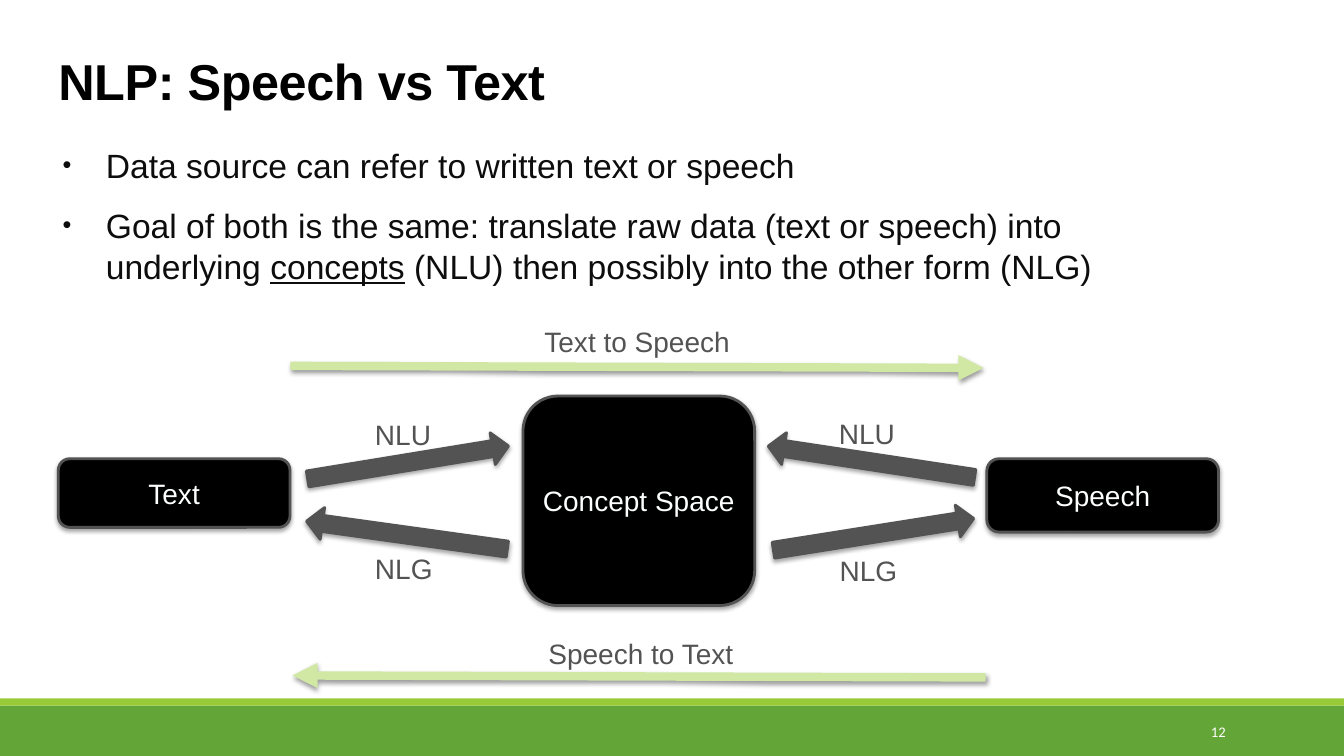
from lxml import etree
from pptx import Presentation, util as u
from pptx.dml import color
from pptx.enum import shapes, text
from pptx.oxml import ns

Cm, Pt, RGB = u.Cm, u.Pt, color.RGBColor.from_string
ALIGN, ANCHOR = text.PP_ALIGN, text.MSO_ANCHOR
SHAPE = shapes.MSO_SHAPE

# Colours and type sizes
theme = {
    "band": RGB("63A537"), "stripe": RGB("99CB38"), "flow": RGB("D1E8A5"),
    "node": RGB("000000"), "grey": RGB("535353"),
    "title": {"name": "Arial", "size": Pt(36), "bold": True, "color": "000000"},
    "body": {"name": "Arial", "size": Pt(24), "color": "0D0D0D"},
    "label": {"name": "Arial", "size": Pt(20), "color": "535353"},
    "node_text": {"name": "Arial", "size": Pt(20), "color": "FEFFFF"},
    "number": {"name": "Calibri", "size": Pt(10.5), "color": "FFFFFF"},
}


def add_text(p, words, fmt):
    r = p.add_run()
    r.text = words
    for key, value in fmt.items():
        if key == "color":
            r.font.color.rgb = RGB(value)
        else:
            setattr(r.font, key, value)
    return r


def add_shadow(sp, alpha, dist):
    effects = etree.SubElement(sp._element.spPr, ns.qn("a:effectLst"))
    outer = etree.SubElement(effects, ns.qn("a:outerShdw"), blurRad=str(Pt(3)),
                             dist=str(Pt(dist)), dir="5400000", rotWithShape="0")
    black = etree.SubElement(outer, ns.qn("a:srgbClr"), val="000000")
    etree.SubElement(black, ns.qn("a:alpha"), val=str(alpha * 1000))


prs = Presentation()
prs.slide_width, prs.slide_height = Cm(33.87), Cm(19.05)
s = prs.slides.add_slide(prs.slide_layouts[6])

# Footer bands
for top, height, fill in ((17.78, 1.27, "band"), (17.6, 0.18, "stripe")):
    sp = s.shapes.add_shape(SHAPE.RECTANGLE, 0, Cm(top), prs.slide_width, Cm(height))
    sp.shadow.inherit = False
    sp.fill.solid()
    sp.fill.fore_color.rgb = theme[fill]
    sp.line.fill.background()

# Title, labels and slide number: left, top, width, height, inset
boxes = [
    ("NLP: Speech vs Text", "title", 1.47, 1.27, 31.24, 1.55, 0),
    ("Text to Speech", "label", 13.54, 8, 9.42, 1.19, 0.18),
    ("Speech to Text", "label", 13.64, 15.85, 8.38, 1.19, 0.18),
    ("NLU", "label", 9.27, 10.33, 2, 1.19, 0.18),
    ("NLG", "label", 9.27, 13.72, 2, 1.19, 0.18),
    ("NLU", "label", 20.96, 10.32, 2, 1.19, 0.18),
    ("NLG", "label", 20.98, 13.77, 2, 1.19, 0.18),
    ("12", "number", 27.51, 17.93, 3.63, 1.02, 0.25),
]
for words, style, left, top, width, height, inset in boxes:
    tf = s.shapes.add_textbox(Cm(left), Cm(top), Cm(width), Cm(height)).text_frame
    tf.word_wrap = True
    tf.margin_left = tf.margin_right = tf.margin_top = tf.margin_bottom = Cm(inset)
    r = add_text(tf.paragraphs[0], words, theme[style])
    if style == "title":
        r._r.get_or_add_rPr().set("spc", "-30")
    if style == "number":
        tf.vertical_anchor = ANCHOR.MIDDLE
        tf.paragraphs[0].alignment = ALIGN.RIGHT

# Bullets: runs with their underline
bullets = [
    [("Data source can refer to written text or speech", False)],
    [("Goal of both is the same: translate raw data (text or speech) into underlying ", False),
     ("concepts", True),
     (" (NLU) then possibly into the other form (NLG)", False)],
]
tf = s.shapes.add_textbox(Cm(1.4), Cm(3.43), Cm(29.26), Cm(3.89)).text_frame
tf.word_wrap = True
tf.margin_left = tf.margin_right = tf.margin_top = tf.margin_bottom = Cm(0.18)
for i, runs in enumerate(bullets):
    p = tf.add_paragraph() if i else tf.paragraphs[0]
    pPr = p._p.get_or_add_pPr()
    pPr.set("marL", str(Cm(1.09)))
    pPr.set("indent", str(-Cm(1.09)))
    etree.SubElement(pPr, ns.qn("a:buSzPct"), val="75000")
    etree.SubElement(pPr, ns.qn("a:buFont"), typeface="Arial")
    etree.SubElement(pPr, ns.qn("a:buChar"), char="•")
    p.line_spacing = 1.03
    if i:
        p.space_before = Pt(13.3)
    for words, underline in runs:
        add_text(p, words, {**theme["body"], "underline": underline})

# Nodes: left, top, height
nodes = [
    ("Concept Space", 13.18, 9.98, 5.28),
    ("Text", 1.47, 11.56, 1.73),
    ("Speech", 24.87, 11.56, 1.85),
]
for words, left, top, height in nodes:
    sp = s.shapes.add_shape(SHAPE.ROUNDED_RECTANGLE, Cm(left), Cm(top), Cm(5.84), Cm(height))
    sp.fill.solid()
    sp.fill.fore_color.rgb = theme["node"]
    sp.line.color.rgb = theme["grey"]
    sp.line.width = Pt(2)
    add_shadow(sp, 35, 1.8)
    tf = sp.text_frame
    tf.word_wrap = True
    tf.vertical_anchor = ANCHOR.MIDDLE
    tf.margin_left = tf.margin_right = tf.margin_top = tf.margin_bottom = Cm(0.18)
    tf.paragraphs[0].alignment = ALIGN.CENTER
    add_text(tf.paragraphs[0], words, theme["node_text"])

# Long flow arrows between text and speech
for x1, y1, x2, y2 in ((7.32, 9.22, 24.79, 9.27), (24.84, 17.07, 7.37, 17.02)):
    sp = s.shapes.add_connector(shapes.MSO_CONNECTOR.STRAIGHT, Cm(x1), Cm(y1), Cm(x2), Cm(y2))
    sp.line.color.rgb = theme["flow"]
    sp.line.width = Pt(6)
    etree.SubElement(sp.line._get_or_add_ln(), ns.qn("a:tailEnd"), type="triangle")
    add_shadow(sp, 38, 1.6)

# Block arrows to and from the concept space: left, top, width, rotation
block_arrows = [
    (7.72, 11.25, 5.13, 350.7),
    (7.7, 13.08, 5.11, 187.9),
    (19.46, 13.06, 5.11, 351),
    (19.33, 11.23, 5.26, 188.6),
]
for left, top, width, angle in block_arrows:
    sp = s.shapes.add_shape(SHAPE.RIGHT_ARROW, Cm(left), Cm(top), Cm(width), Cm(0.81))
    sp.rotation = angle
    sp.fill.solid()
    sp.fill.fore_color.rgb = theme["grey"]
    sp.line.color.rgb = theme["grey"]
    sp.line.width = Pt(2)
    add_shadow(sp, 35, 1.8)

prs.save("out.pptx")
